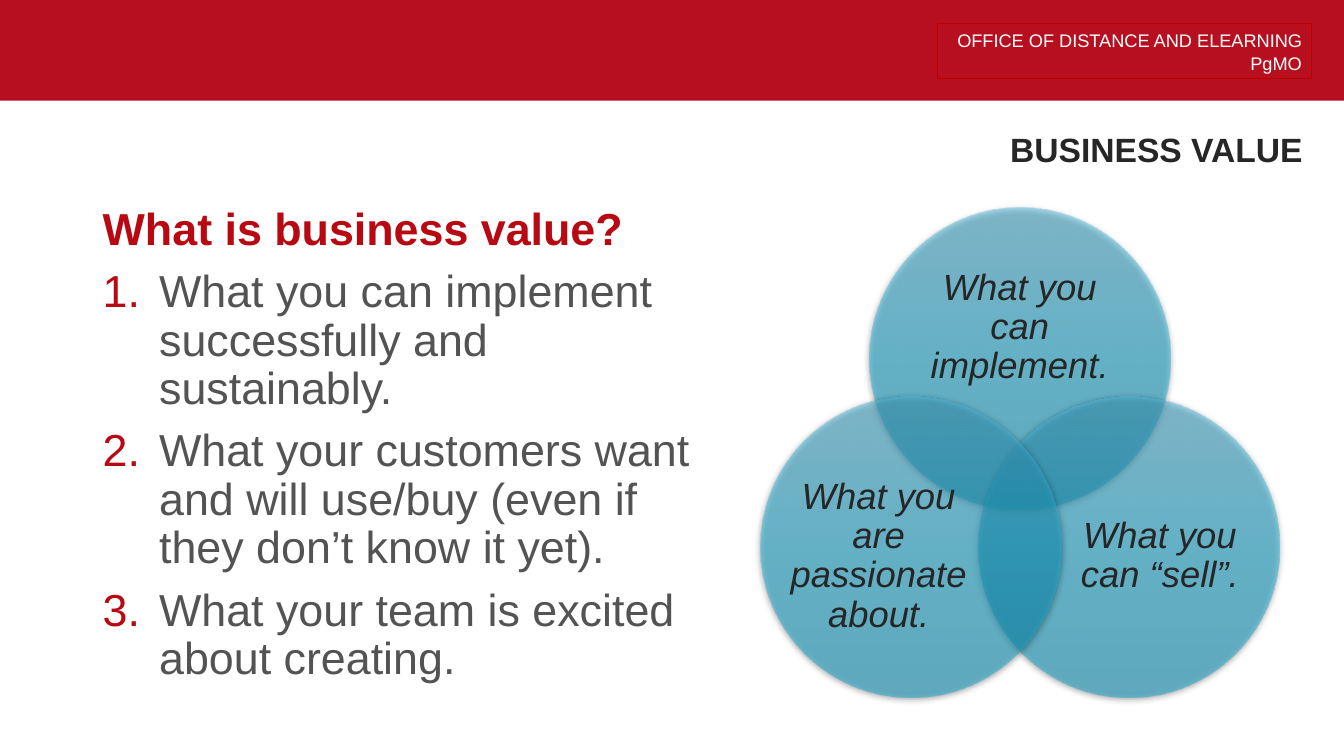
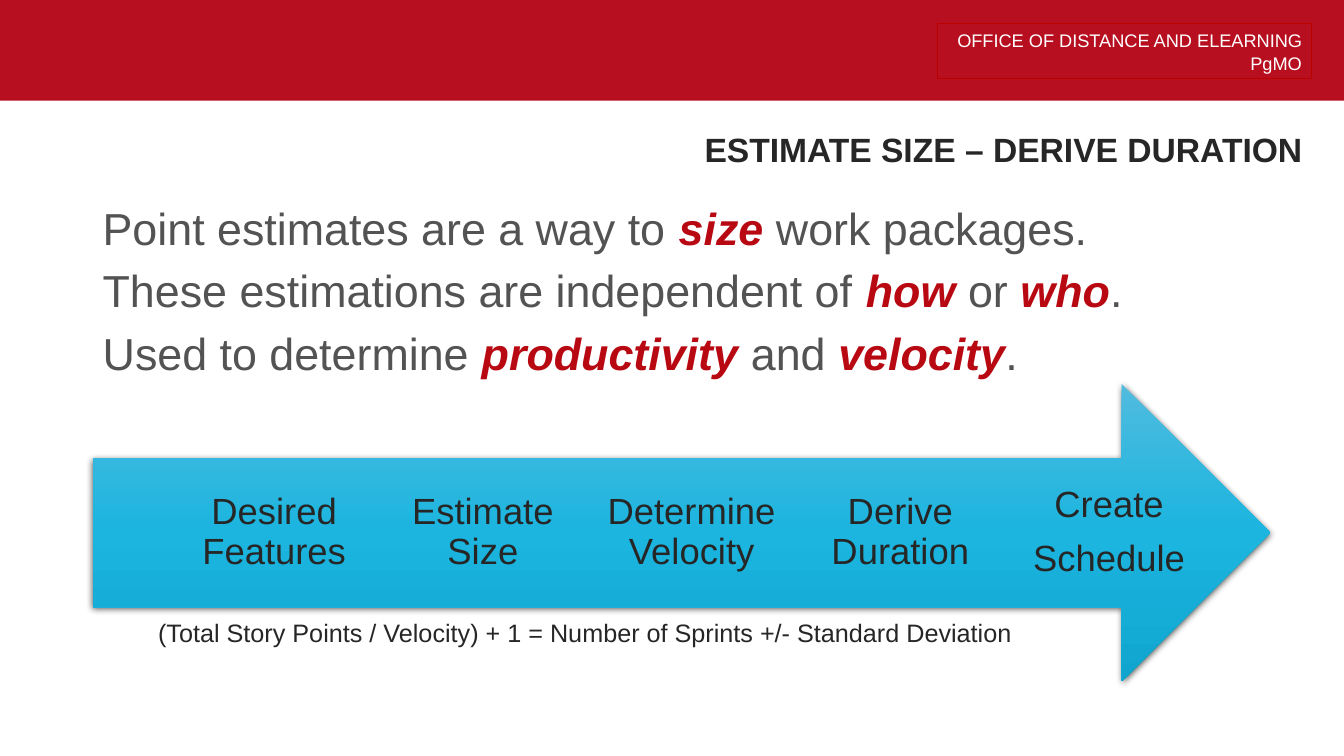
from dataclasses import dataclass
from lxml.etree import SubElement
from pptx import Presentation
from pptx.dml.color import RGBColor as RGB
from pptx.enum.shapes import MSO_SHAPE as Shape
from pptx.enum.text import MSO_ANCHOR as Anchor, MSO_AUTO_SIZE as Auto, PP_ALIGN as Align
from pptx.oxml.ns import qn
from pptx.util import Inches, Pt


@dataclass(frozen=True)
class Theme:
    font: str = "Arial"
    band: str = "B70F20"
    edge: str = "BB0000"
    red: str = "B80811"
    gray: str = "535353"
    dark: str = "262626"
    white: str = "FFFFFF"
    blues: tuple = ((0, "50BBDF"), (50, "1BB5DF"), (100, "10A5CE"))
    head: int = 13
    note: int = 18
    title: int = 24
    label: int = 26
    body: int = 32


T = Theme()
HEAD = dict(size=T.head, color=T.white)
TITLE = dict(size=T.title, color=T.dark, bold=True)
BODY = dict(size=T.body, color=T.gray)
LEAD = dict(BODY, color=T.red, bold=True)
KEY = dict(LEAD, italic=True)
STEP = dict(size=T.label, color=T.dark)
IDEA = dict(STEP, italic=True)
NOTE = dict(size=T.note, color=T.dark)


# Text
def style(font, form):
    font.name = T.font
    for key, val in form.items():
        if key == "color":
            font.color.rgb = RGB.from_string(val)
        else:
            setattr(font, key, Pt(val) if key == "size" else val)


def number(para):
    """Give a paragraph a red automatic number and a hanging indent."""
    props = para._p.get_or_add_pPr()
    props.set("marL", str(Inches(0.56)))
    props.set("indent", str(-Inches(0.56)))
    tint = SubElement(props, qn("a:buClr"))
    SubElement(tint, qn("a:srgbClr"), val=T.red)
    SubElement(props, qn("a:buFont"), typeface=T.font)
    SubElement(props, qn("a:buAutoNum"), type="arabicPeriod")


def write(frame, lines, form, gap=0, lead=None, **para_form):
    """Write lines; words between asterisks take the key style."""
    frame.word_wrap = True
    for pos, line in enumerate(lines):
        para = frame.paragraphs[0] if pos == 0 else frame.add_paragraph()
        if lead and pos:
            number(para)
        for key, val in para_form.items():
            setattr(para, key, val)
        para.space_before = Pt(gap if pos else 0)
        base = lead if lead and pos == 0 else form
        for part, words in enumerate(line.split("*")):
            if words:
                run = para.add_run()
                run.text = words
                style(run.font, KEY if part % 2 else base)


def text(slide, at, lines, form, **rest):
    box = slide.shapes.add_textbox(*map(Inches, at))
    write(box.text_frame, lines, form, **rest)
    return box.text_frame


def label(slide, at, lines, form, inset=0):
    frame = text(slide, at, lines, form, gap=10, alignment=Align.CENTER, line_spacing=0.9)
    frame.vertical_anchor = Anchor.MIDDLE
    for side in ("left", "right"):
        setattr(frame, f"margin_{side}", 0)
    for side in ("top", "bottom"):
        setattr(frame, f"margin_{side}", Inches(inset))


# Shapes
def shape(slide, kind, at, fill=None, line=None):
    item = slide.shapes.add_shape(kind, *map(Inches, at))
    item.shadow.inherit = False
    if fill:
        item.fill.solid()
        item.fill.fore_color.rgb = RGB.from_string(fill)
    else:
        item.fill.background()
    if line:
        item.line.color.rgb = RGB.from_string(line)
        item.line.width = Pt(0.75)
    else:
        item.line.fill.background()
    return item


def glow(slide, kind, at, alpha=100):
    """Draw a blue shape with a vertical gradient and a soft shadow."""
    item = shape(slide, kind, at)
    item.fill.gradient()
    item.fill.gradient_angle = 270
    props = item.element.spPr
    stops = props.find(qn("a:gradFill")).find(qn("a:gsLst"))
    for stop in list(stops):
        stops.remove(stop)
    for pos, color in T.blues:
        stop = SubElement(stops, qn("a:gs"), pos=str(pos * 1000))
        tint = SubElement(stop, qn("a:srgbClr"), val=color)
        if alpha < 100:
            SubElement(tint, qn("a:alpha"), val=str(alpha * 1000))
    shade = SubElement(props.find(qn("a:effectLst")), qn("a:outerShdw"),
                       blurRad=str(Pt(4.5)), dist=str(Pt(1.5)),
                       dir="5400000", rotWithShape="0")
    tint = SubElement(shade, qn("a:srgbClr"), val="000000")
    SubElement(tint, qn("a:alpha"), val="63000")


# Shared frame of every slide
def start(deck, title):
    slide = deck.slides.add_slide(deck.slide_layouts[5])
    shape(slide, Shape.RECTANGLE, (0, 0, 13.33, 1), fill=T.band)
    box = shape(slide, Shape.RECTANGLE, (9.3, 0.23, 3.71, 0.55), line=T.edge)
    write(box.text_frame, ["OFFICE OF DISTANCE AND ELEARNING", "PgMO"], HEAD,
          alignment=Align.RIGHT, line_spacing=Pt(16.4))
    head = slide.shapes.title
    spot = dict(left=0.92, top=1.16, width=12.1, height=0.69)
    for key, val in spot.items():
        setattr(head, key, Inches(val))
    frame = head.text_frame
    frame.auto_size = Auto.NONE
    frame.vertical_anchor = Anchor.MIDDLE
    write(frame, [title], TITLE, alignment=Align.RIGHT, line_spacing=0.9)
    return slide


def body(slide, width, lines, lead=None):
    text(slide, (0.92, 2, width, 5.19), lines, BODY, gap=10, lead=lead, line_spacing=0.9)


# Slides
def value(deck):
    slide = start(deck, "BUSINESS VALUE")
    body(slide, 6.28, [
        "What is business value?",
        "What you can implement successfully and sustainably.",
        "What your customers want and will use/buy (even if they don’t know it yet).",
        "What your team is excited about creating.",
    ], lead=LEAD)
    size = 2.99
    ideas = [
        (8.62, 2.06, (9.02, 2.58, 2.19, 1.34), "What you can implement."),
        (9.7, 3.93, (10.61, 4.7, 1.79, 1.64), "What you can “sell”."),
        (7.54, 3.93, (7.82, 4.7, 1.79, 1.64), "What you are passionate about."),
    ]
    for left, top, spot, words in ideas:
        glow(slide, Shape.OVAL, (left, top, size, size), alpha=50)
        label(slide, spot, [words], IDEA)


def size(deck):
    slide = start(deck, "ESTIMATE SIZE – DERIVE DURATION")
    body(slide, 12.1, [
        "Point estimates are a way to *size* work packages.",
        "These estimations are independent of *how *or *who*.",
        "Used to determine *productivity* and *velocity*.",
    ])
    glow(slide, Shape.RIGHT_ARROW, (0.92, 3.81, 11.68, 2.95))
    steps = [["Desired Features"], ["Estimate Size"], ["Determine Velocity"],
             ["Derive Duration"], ["Create", "Schedule"]]
    for pos, lines in enumerate(steps):
        label(slide, (1.86 + 2.07 * pos, 4.55, 1.72, 1.47), lines, STEP, inset=0.29)
    text(slide, (1.47, 6.08, 8.94, 0.4),
         ["(Total Story Points / Velocity) + 1 = Number of Sprints +/- Standard Deviation"],
         NOTE)


def main():
    deck = Presentation()
    deck.slide_width, deck.slide_height = Inches(13.33), Inches(7.5)
    value(deck)
    size(deck)
    deck.save("out.pptx")


if __name__ == "__main__":
    main()
